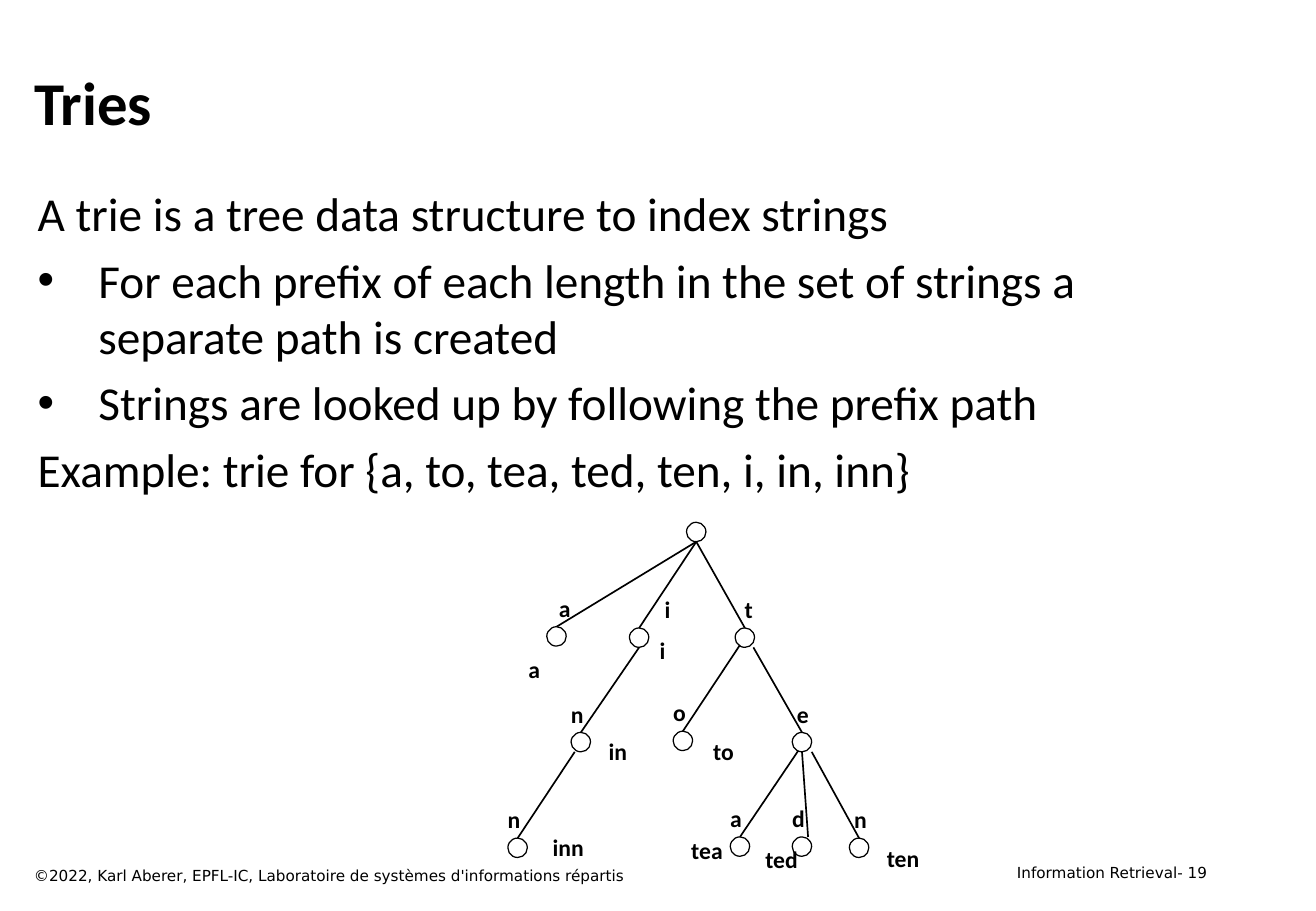
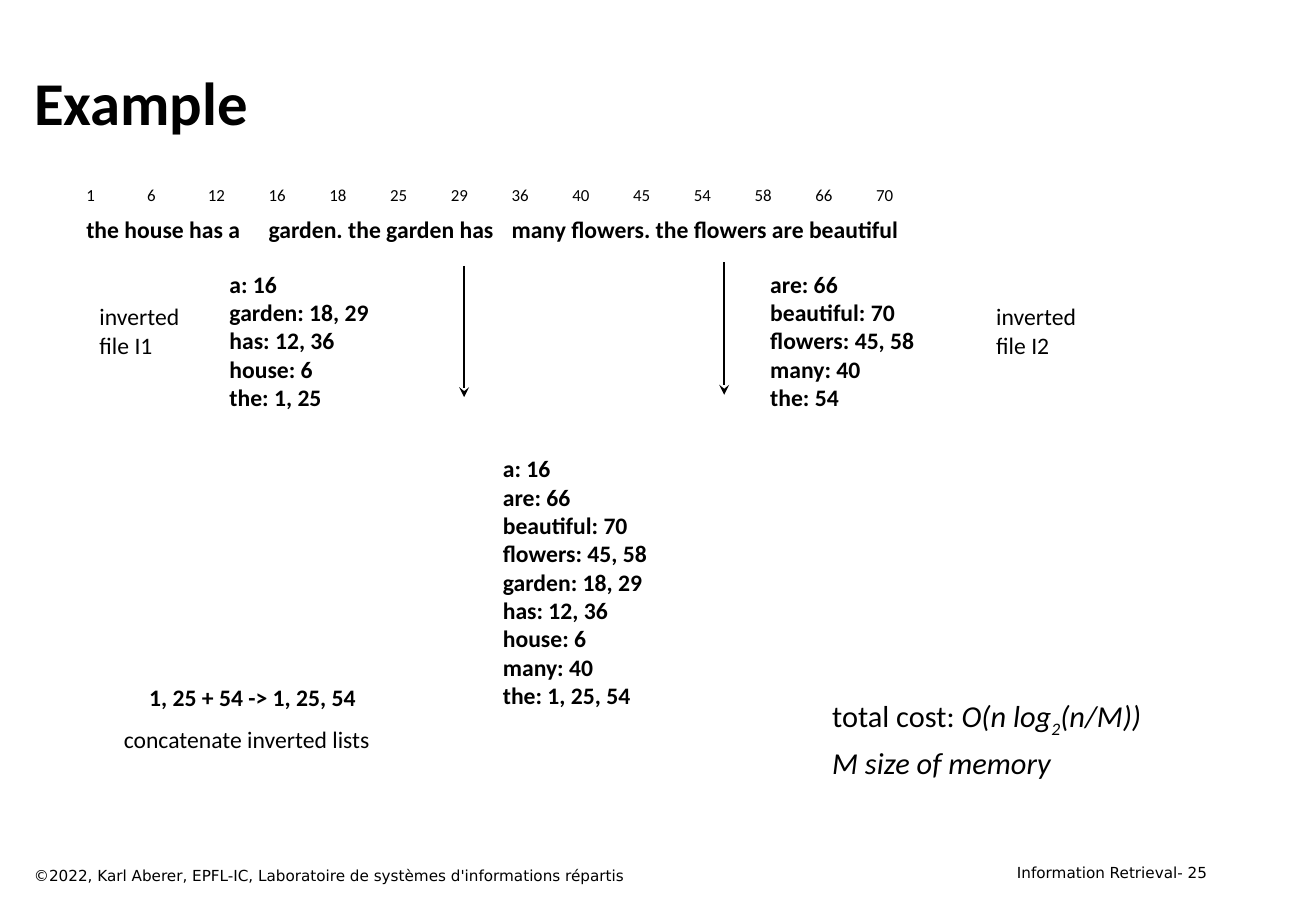
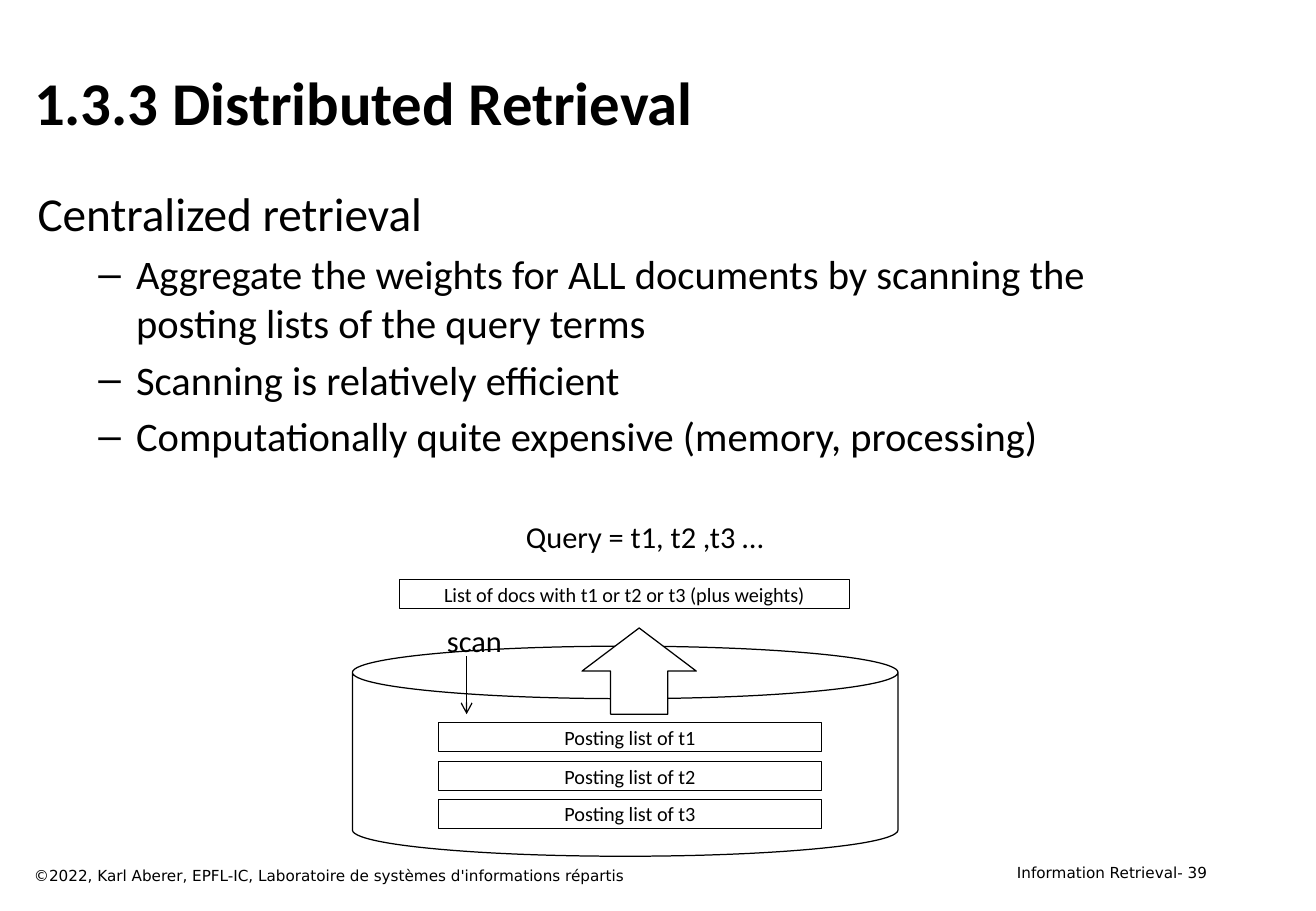
from lxml.etree import SubElement
from pptx import Presentation
from pptx.dml.color import RGBColor
from pptx.enum.shapes import MSO_CONNECTOR, MSO_SHAPE
from pptx.enum.text import MSO_ANCHOR, MSO_AUTO_SIZE, PP_ALIGN
from pptx.oxml.ns import qn
from pptx.util import Emu, Pt

BLACK = RGBColor(0x00, 0x00, 0x00)
WHITE = RGBColor(0xFF, 0xFF, 0xFF)
TEXT_FONT = "Calibri"
FOOTER_FONT = "DejaVu Sans"
COPYRIGHT = "©2022, Karl Aberer, EPFL-IC, Laboratoire de systèmes d'informations répartis"
SCALE = 9144  # EMU per px, 100 px to the inch
NODE = 16


def px(*lengths):
    return [Emu(length * SCALE) for length in lengths]


class Deck:
    """Holds the shared style and the slide being filled."""

    def __init__(self):
        self.prs = Presentation()
        self.prs.slide_width, self.prs.slide_height = px(1083, 750)
        self.slide = None

    def add_slide(self, title, number):
        self.slide = self.prs.slides.add_slide(self.prs.slide_layouts[1])
        heading = self.slide.shapes.title
        self.place(heading, 18, 33, 984, 100)
        heading.text_frame.vertical_anchor = MSO_ANCHOR.MIDDLE
        self.set_text(heading.text_frame.paragraphs[0], title, 36, bold=True, align=PP_ALIGN.LEFT)
        self.footer(COPYRIGHT, 18, 708, 695, PP_ALIGN.LEFT)
        self.footer(f"Information Retrieval- {number}", 777, 706, 226, PP_ALIGN.RIGHT)

    def place(self, placeholder, *box):
        placeholder.left, placeholder.top, placeholder.width, placeholder.height = px(*box)
        placeholder.text_frame.auto_size = MSO_AUTO_SIZE.NONE

    def set_text(self, paragraph, text, size, bold=False, align=None, font=TEXT_FONT):
        paragraph.text = text
        if align is not None:
            paragraph.alignment = align
        style = paragraph.font
        style.name, style.size, style.bold = font, Pt(size), bold
        style.color.rgb = BLACK

    def footer(self, text, left, top, width, align):
        frame = self.slide.shapes.add_textbox(*px(left, top, width, 25)).text_frame
        frame.word_wrap = True
        self.set_text(frame.paragraphs[0], text, 9, align=align, font=FOOTER_FONT)

    def body(self, left, top, width, height):
        holder = self.slide.placeholders[1]
        self.place(holder, left, top, width, height)
        return holder.text_frame

    def paragraph(self, frame, index):
        paragraph = frame.paragraphs[0] if index == 0 else frame.add_paragraph()
        if index == 0:
            paragraph.space_before = Pt(0)
        return paragraph

    def bullet_list(self, items):
        """Fill the body from (text, bullet, size, level, margin, hang) items."""
        frame = self.body(21, 147, 984, 550)
        for index, (text, bullet, size, level, margin, hang) in enumerate(items):
            paragraph = self.paragraph(frame, index)
            paragraph.level = level
            self.indent(paragraph, margin, hang, bullet)
            self.set_text(paragraph, text, size)

    def indent(self, paragraph, margin=0, hang=0, bullet=None):
        props = paragraph._p.get_or_add_pPr()
        props.set("marL", str(margin * SCALE))
        props.set("indent", str(-hang * SCALE))
        if bullet:
            SubElement(props, qn("a:buChar")).set("char", bullet)
        else:
            SubElement(props, qn("a:buNone"))

    def tabbed_lines(self, lines):
        """Fill the body from (text, size, bold, tab stops) lines."""
        frame = self.body(61, 147, 908, 88)
        for index, (text, size, bold, stops) in enumerate(lines):
            paragraph = self.paragraph(frame, index)
            if index:
                paragraph.space_before = Pt(6)
            self.indent(paragraph)
            tabs = SubElement(paragraph._p.get_or_add_pPr(), qn("a:tabLst"))
            for stop in stops:
                tab = SubElement(tabs, qn("a:tab"))
                tab.set("pos", str(stop * SCALE))
                tab.set("algn", "l")
            self.set_text(paragraph, text, size, bold)

    def label(self, lines, left, top, width, size=14, bold=False):
        height = 10 + round(len(lines) * size * 1.7)
        frame = self.slide.shapes.add_textbox(*px(left, top, width, height)).text_frame
        frame.word_wrap = False
        frame.auto_size = MSO_AUTO_SIZE.SHAPE_TO_FIT_TEXT
        for index, line in enumerate(lines):
            self.set_text(self.paragraph(frame, index), line, size, bold)
        return frame

    def shape(self, preset, left, top, width, height, fill=None, text=None):
        shape = self.slide.shapes.add_shape(preset, *px(left, top, width, height))
        shape.shadow.inherit = False
        if fill is None:
            shape.fill.background()
        else:
            shape.fill.solid()
            shape.fill.fore_color.rgb = fill
        shape.line.color.rgb = BLACK
        shape.line.width = Pt(0.75)
        if text:
            shape.text_frame.vertical_anchor = MSO_ANCHOR.MIDDLE
            self.set_text(shape.text_frame.paragraphs[0], text, 12, align=PP_ALIGN.CENTER)

    def line(self, start, end, width=1, head=None):
        connector = self.slide.shapes.add_connector(
            MSO_CONNECTOR.STRAIGHT, *px(*start, *end))
        connector.line.color.rgb = BLACK
        connector.line.width = Pt(width)
        props = connector._element.spPr
        if head:
            SubElement(props.find(qn("a:ln")), qn("a:tailEnd")).set("type", head)
        SubElement(props, qn("a:effectLst"))


def tries(deck):
    deck.add_slide("Tries", 19)
    deck.bullet_list([
        ("A trie is a tree data structure to index strings", None, 28, 0, 38, 38),
        ("For each prefix of each length in the set of strings a separate path is created",
         "•", 28, 0, 50, 50),
        ("Strings are looked up by following the prefix path", "•", 28, 0, 50, 50),
        ("Example: trie for {a, to, tea, ted, ten, i, in, inn}", None, 28, 0, 38, 38),
    ])
    root_x, root_y = 573, 430
    root_exit = (root_x, root_y + NODE)
    deck.shape(MSO_SHAPE.OVAL, root_x - NODE // 2, root_y, NODE, NODE)
    # letter, its left and width, node centre and top, edge start, edge end x
    branches = [
        ("a", 450, 31, 458, 516, root_exit, 458),
        ("i", 537, 25, 526, 517, root_exit, 526),
        ("t", 603, 27, 613, 517, root_exit, 613),
        ("n", 460, 31, 478, 603, (526, 533), 478),
        ("o", 544, 31, 562, 602, (609, 531), 562),
        ("e", 646, 30, 660, 603, (620, 533), 660),
        ("n", 408, 31, 426, 690, (473, 619), 426),
        ("a", 591, 30, 609, 689, (657, 618), 609),
        ("d", 642, 31, 660, 689, (660, 619), 665),
        ("n", 693, 31, 707, 690, (668, 619), 707),
    ]
    for letter, left, width, node_x, node_y, start, end_x in branches:
        deck.shape(MSO_SHAPE.OVAL, node_x - NODE // 2, node_y, NODE, NODE)
        deck.line(start, (end_x, node_y))
        deck.label([letter], left, node_y - 32, width, bold=True)
    for word, left, top, width in [
        ("a", 425, 534, 30), ("i", 533, 519, 25), ("in", 491, 602, 36),
        ("to", 577, 602, 37), ("inn", 445, 681, 46), ("tea", 559, 683, 46),
        ("ted", 620, 691, 47), ("ten", 720, 690, 47),
    ]:
        deck.label([word], left, top, width, bold=True)


def merge_example(deck):
    deck.add_slide("Example", 25)
    positions = [1, 6, 12, 16, 18, 25, 29, 36, 40, 45, 54, 58, 66, 70]
    deck.tabbed_lines([
        ("\t".join(map(str, positions)), 10, False,
         [36, 84, 113, 139, 200, 233, 288, 367, 410, 474, 506, 567, 594]),
        ("the house has a\tgarden. the garden has\tmany flowers. the flowers are beautiful",
         14, True, [136, 360]),
    ])
    first = {"a": "16", "garden": "18, 29", "has": "12, 36", "house": "6", "the": "1, 25"}
    second = {"are": "66", "beautiful": "70", "flowers": "45, 58", "many": "40", "the": "54"}
    merged = {**first, **second, "the": f"{first['the']}, {second['the']}"}
    for index, left, top, width in [
        (first, 179, 217, 136), (second, 624, 217, 140), (merged, 404, 369, 140),
    ]:
        entries = [f"{word}: {index[word]}" for word in sorted(index)]
        deck.label(entries, left, top, width, bold=True)
    deck.label(["inverted", "file I1"], 72, 244, 91)
    deck.label(["inverted", "file I2"], 810, 244, 91)
    deck.line((382, 219), (382, 327), head="stealth")
    deck.line((596, 216), (596, 325), head="stealth")
    deck.label(["1, 25 + 54 -> 1, 25, 54"], 113, 557, 200, bold=True)
    deck.label(["concatenate inverted lists"], 92, 592, 225)

    cost, memory = deck.label(["total cost: ", "M size of memory"], 675, 569, 279, 18).paragraphs
    memory.space_before = Pt(3.5)
    memory.font.italic = True
    for text, baseline in [("O(n log", 0), ("2", -25000), ("(n/M))", 0)]:
        run = cost.add_run()
        run.text = text
        run.font.italic = True
        if baseline:
            run._r.get_or_add_rPr().set("baseline", str(baseline))


def distributed_retrieval(deck):
    deck.add_slide("1.3.3 Distributed Retrieval", 39)
    points = [
        "Aggregate the weights for ALL documents by scanning the posting lists of the query terms",
        "Scanning is relatively efficient",
        "Computationally quite expensive (memory, processing)",
    ]
    deck.bullet_list([("Centralized retrieval", None, 28, 0, 38, 38)]
                     + [(point, "–", 24, 1, 81, 31) for point in points])
    deck.shape(MSO_SHAPE.CAN, 290, 532, 449, 173)
    deck.label(["Query = t1, t2 ,t3 …"], 423, 422, 218, 18)
    for row, top in enumerate((595, 627, 658), start=1):
        deck.shape(MSO_SHAPE.RECTANGLE, 361, top, 315, 24, WHITE, f"Posting list of t{row}")
    deck.line((384, 540), (384, 588), 0.75, "arrow")
    deck.shape(MSO_SHAPE.RECTANGLE, 329, 477, 370, 24, WHITE,
               "List of docs with t1 or t2 or t3 (plus weights)")
    deck.label(["scan"], 358, 507, 66, 18)
    deck.shape(MSO_SHAPE.UP_ARROW, 479, 517, 94, 71, WHITE)


def main():
    deck = Deck()
    tries(deck)
    merge_example(deck)
    distributed_retrieval(deck)
    deck.prs.save("out.pptx")


if __name__ == "__main__":
    main()
